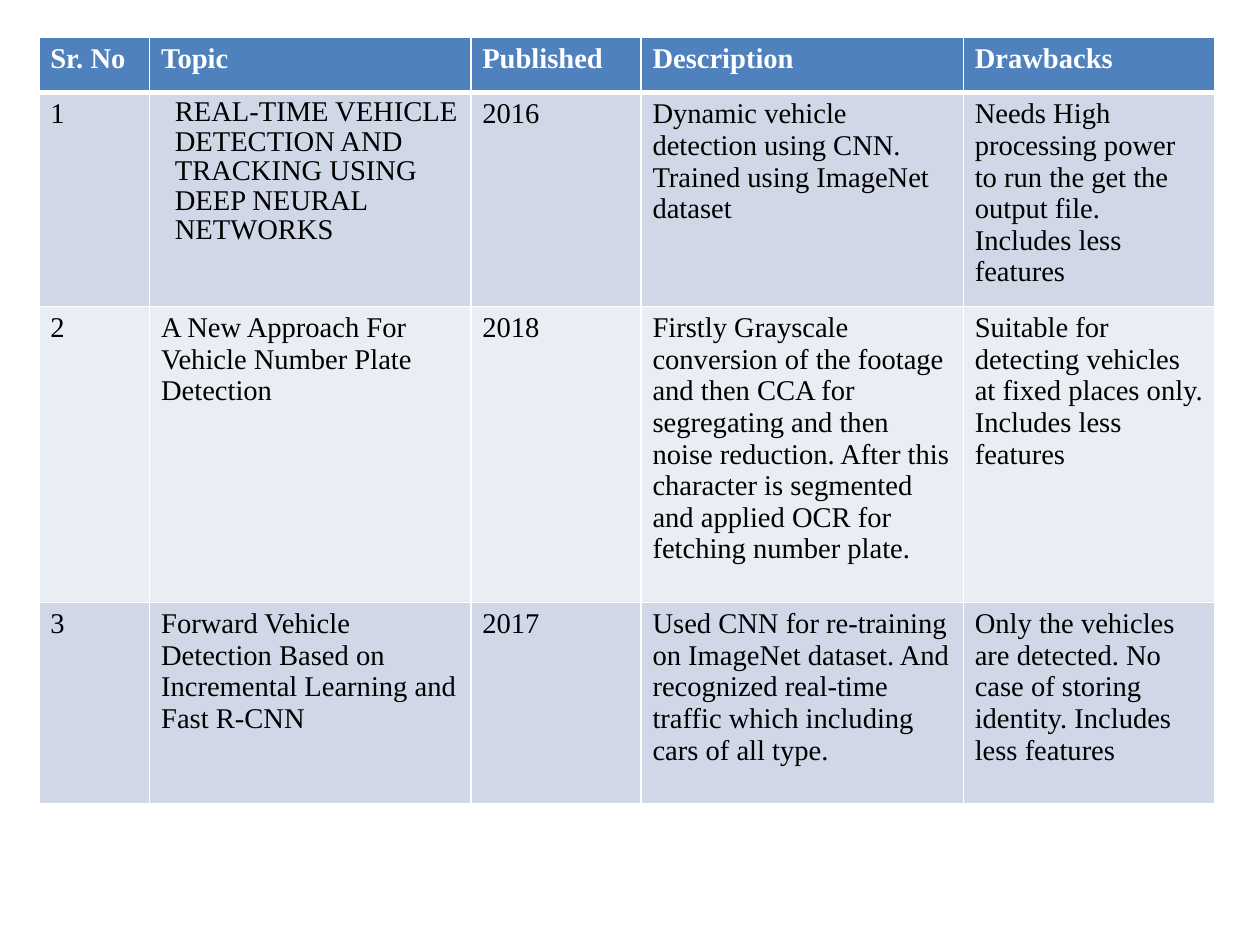
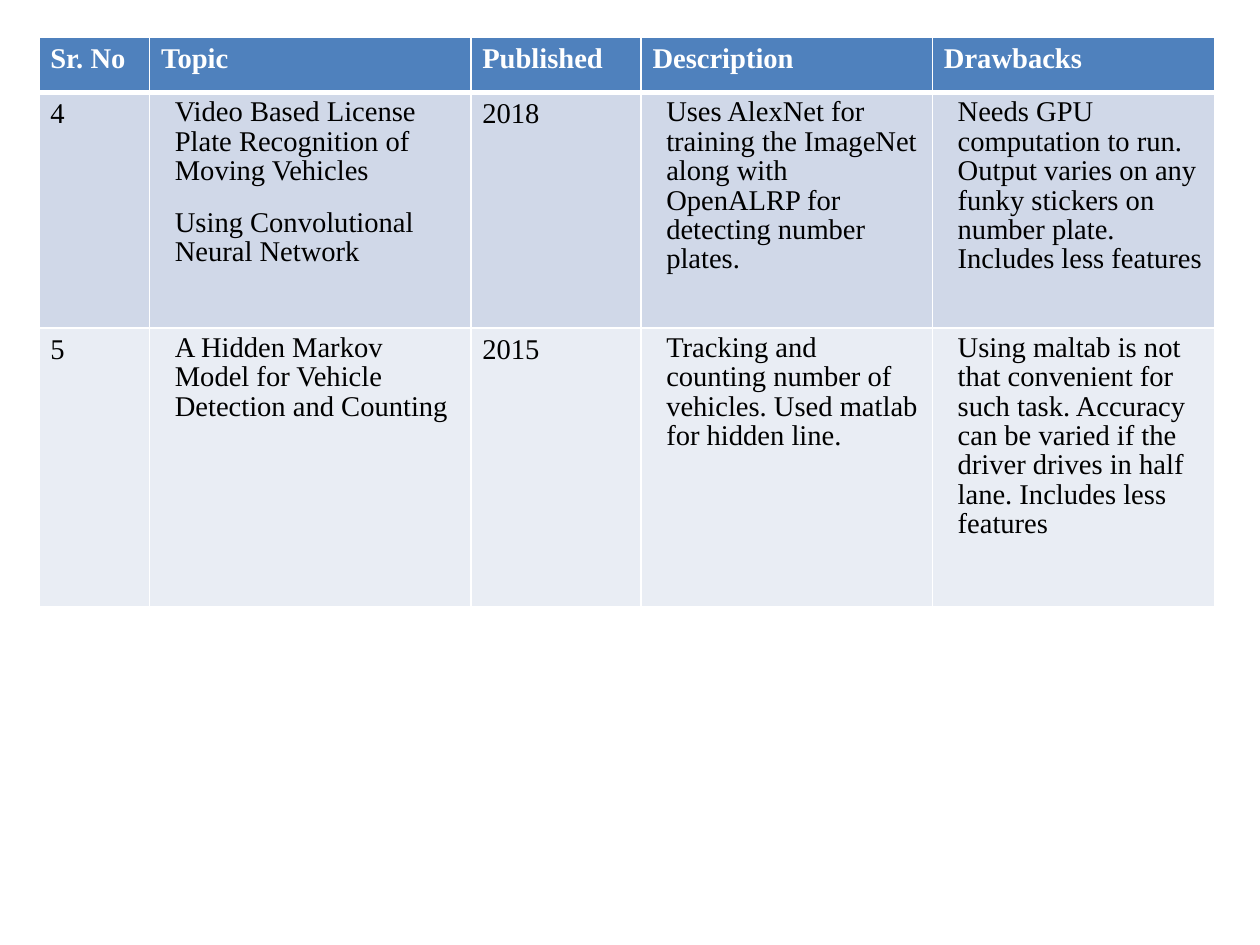
from lxml.etree import SubElement
from pptx import Presentation
from pptx.dml.color import RGBColor
from pptx.oxml.ns import qn
from pptx.util import Inches, Pt

FONT = "Times New Roman"
WHITE, BLACK, HEADER_FILL = "FFFFFF", "000000", "4F81BD"
BAND_FILLS = ("D0D8E8", "E9EDF4")
HEADINGS = ("Sr. No", "Topic", "Published", "Description", "Drawbacks")
TABLE_LEFT, TABLE_TOP = 0.34, 0.33
HEADER_HEIGHT = 0.48
THIN, THICK = 1, 3


def rgb(value):
    return RGBColor.from_string(value)


def indented(*paragraphs):
    return paragraphs


def write(frame, content, color=BLACK, bold=False, size=18):
    is_indented = isinstance(content, tuple)
    paragraphs = content if is_indented else (content,)
    frame.word_wrap = True
    for index, text in enumerate(paragraphs):
        paragraph = frame.add_paragraph() if index else frame.paragraphs[0]
        if is_indented:
            paragraph.line_spacing = 0.93
            paragraph.space_after = Pt(14.1)
            properties = paragraph._p.get_or_add_pPr()
            properties.set("marL", str(Inches(0.12)))
            properties.set("indent", "0")
        run = paragraph.add_run()
        run.text = text
        run.font.name = FONT
        run.font.size = Pt(size)
        run.font.bold = bold
        run.font.color.rgb = rgb(color)


def add_borders(cell, top, bottom):
    properties = cell._tc.get_or_add_tcPr()
    for side, width in (("L", THIN), ("R", THIN), ("T", top), ("B", bottom)):
        line = SubElement(properties, qn(f"a:ln{side}"), w=str(Pt(width)))
        fill = SubElement(line, qn("a:solidFill"))
        SubElement(fill, qn("a:srgbClr"), val=WHITE)


def style_cell(cell, row):
    add_borders(cell, THICK if row == 1 else THIN, THICK if row == 0 else THIN)
    cell.fill.solid()
    band = BAND_FILLS[(row - 1) % len(BAND_FILLS)]
    cell.fill.fore_color.rgb = rgb(band if row else HEADER_FILL)


def add_survey(slide, left, top, widths, body_heights, papers):
    heights = (HEADER_HEIGHT, *body_heights)
    table = slide.shapes.add_table(
        len(heights), len(widths), Inches(left), Inches(top),
        Inches(sum(widths)), Inches(sum(heights))).table
    table.first_row = table.horz_banding = False
    for column, width in zip(table.columns, widths):
        column.width = Inches(width)
    for row, height in zip(table.rows, heights):
        row.height = Inches(height)
    for row, entries in enumerate((HEADINGS, *papers)):
        for column, content in enumerate(entries):
            cell = table.cell(row, column)
            style_cell(cell, row)
            write(cell.text_frame, content,
                  color=BLACK if row else WHITE, bold=row == 0)


FIRST_PAPERS = (
    ("1",
     indented("REAL-TIME VEHICLE DETECTION AND TRACKING USING DEEP NEURAL NETWORKS"),
     "2016",
     "Dynamic vehicle detection using CNN. Trained using ImageNet dataset",
     "Needs High processing power to run the get the output file. "
     "Includes less features"),
    ("2",
     "A New Approach For Vehicle Number Plate Detection",
     "2018",
     "Firstly Grayscale conversion of the footage and then CCA for segregating "
     "and then noise reduction. After this character is segmented and applied "
     "OCR for fetching number plate.",
     "Suitable for detecting vehicles at fixed places only. Includes less features"),
    ("3",
     "Forward Vehicle Detection Based on Incremental Learning and Fast R-CNN",
     "2017",
     "Used CNN for re-training on ImageNet dataset. And recognized real-time "
     "traffic which including cars of all type.",
     "Only the vehicles are detected. No case of storing identity. "
     "Includes less features"),
)
LATER_PAPERS = (
    ("4",
     indented("Video Based License Plate Recognition of Moving Vehicles",
              "Using Convolutional Neural Network"),
     "2018",
     indented("Uses AlexNet for training the ImageNet along with OpenALRP for "
              "detecting number plates."),
     indented("Needs GPU computation to run. Output varies on any funky stickers "
              "on number plate. Includes less features")),
    ("5",
     indented("A Hidden Markov Model for Vehicle Detection and Counting"),
     "2015",
     indented("Tracking and counting number of vehicles. Used matlab for hidden line."),
     indented("Using maltab is not that convenient for such task. Accuracy can be "
              "varied if the driver drives in half lane. Includes less features")),
)
SURVEYS = (
    ((0.97, 2.81, 1.49, 2.82, 2.2), (1.87, 2.59, 1.76), FIRST_PAPERS),
    ((0.97, 2.81, 1.49, 2.55, 2.47), (2.06, 2.44), LATER_PAPERS),
)


def main():
    deck = Presentation()
    deck.slide_width, deck.slide_height = Pt(793.75), Pt(595.25)
    for widths, body_heights, papers in SURVEYS:
        slide = deck.slides.add_slide(deck.slide_layouts[6])
        add_survey(slide, TABLE_LEFT, TABLE_TOP, widths, body_heights, papers)
    deck.save("out.pptx")


if __name__ == "__main__":
    main()
